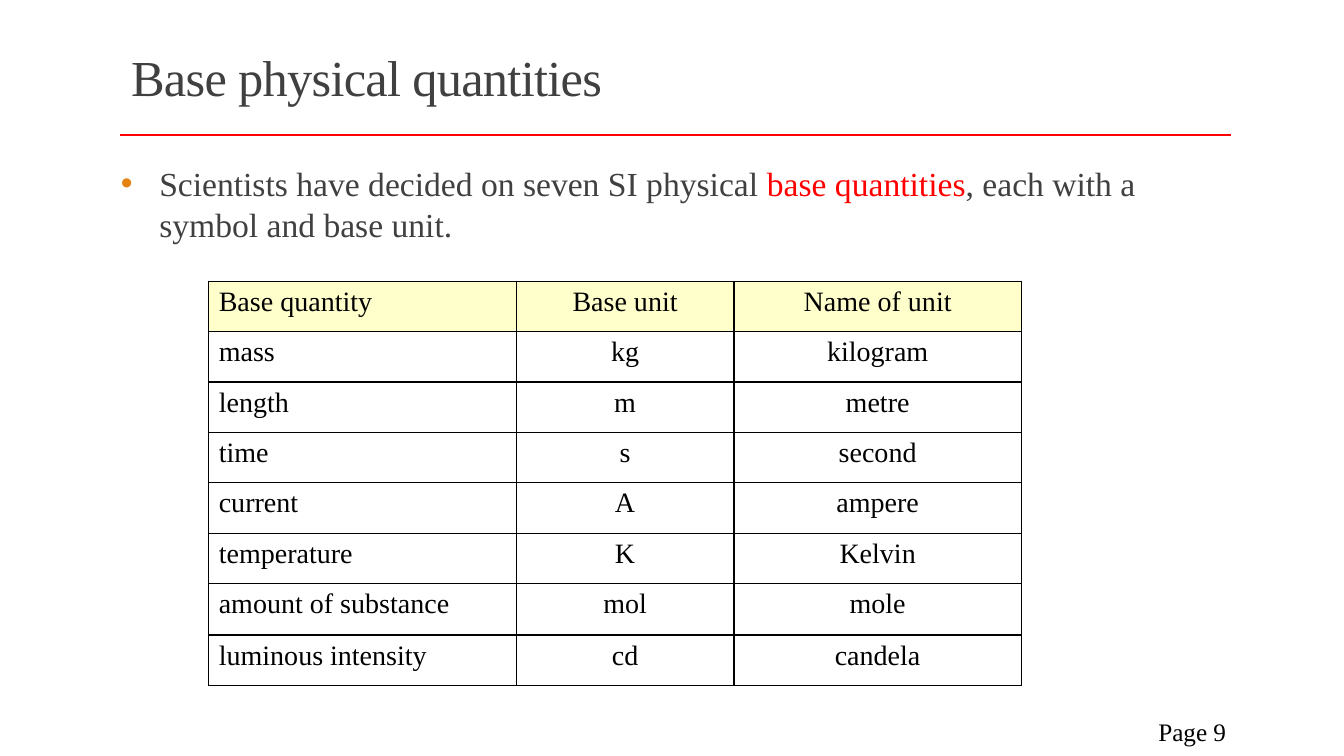
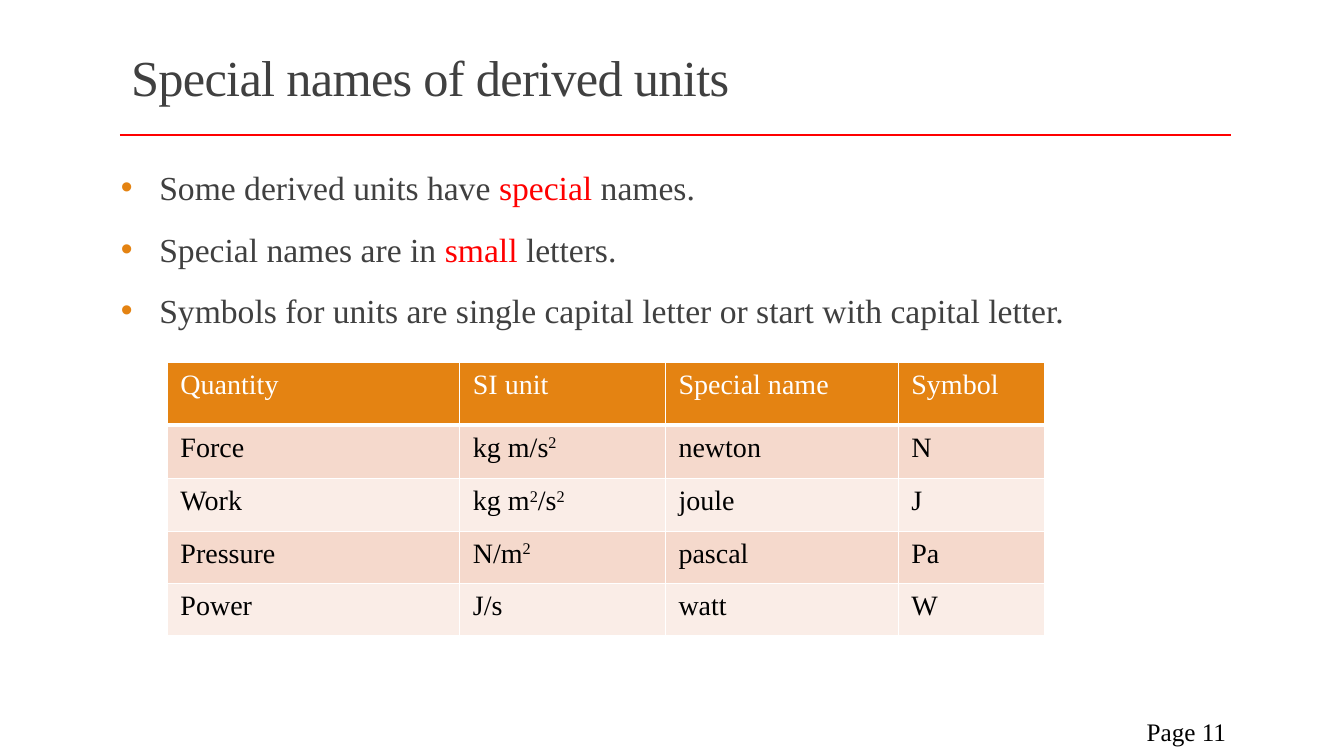
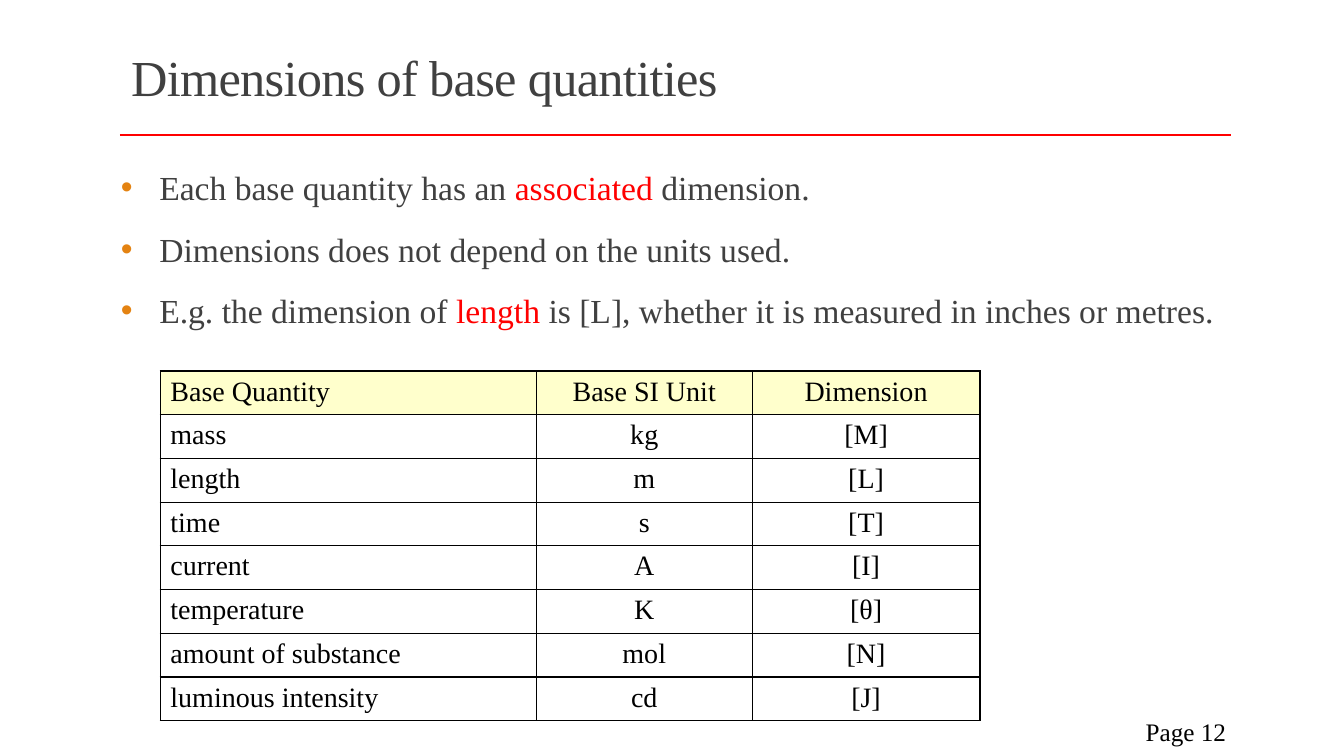
from pptx import Presentation
from pptx.dml.color import RGBColor
from pptx.enum import shapes, text
from pptx.oxml import ns, xmlchemy
from pptx.util import Inches, Pt

FONT = "Times New Roman"
COLORS = {
    "rule": "FF0000", "highlight": "FF0000", "body": "404040",
    "accent": "E48312", "black": "000000", "white": "FFFFFF",
    "cream": "FFFFCC", "band_dark": "F5D9CC", "band_light": "FAEDE7",
}

# Boxes are left, top, width, height in inches
TITLE_BOX = (1.2, 0.31, 11, 0.98)
BODY_BOX = (1.2, 1.57, 11.02, 5.12)
PAGE_BOX = (10.83, 7.06, 1.43, 0.4)
RULE_LEFT, RULE_RIGHT, RULE_TOP = 1.19, 12.21, 1.34

# Table styles: fills of header and alternating rows, header text, borders, margins
GRID_STYLE = {
    "header": "cream", "bands": ["white"], "header_text": "black",
    "border": "black", "header_bottom": 1, "margins": (0.1, 0.05),
    "align_rest": text.PP_ALIGN.CENTER,
}
BANDED_STYLE = {
    "header": "accent", "bands": ["band_dark", "band_light"], "header_text": "white",
    "border": "white", "header_bottom": 3, "margins": (0.13, 0.07),
    "align_rest": text.PP_ALIGN.LEFT,
}


def rgb(name):
    return RGBColor.from_string(COLORS[name])


def inches(values):
    return [Inches(value) for value in values]


def add_run(paragraph, words, size, color):
    run = paragraph.add_run()
    run.text = words
    run.font.name = FONT
    run.font.size = Pt(size)
    run.font.color.rgb = rgb(color)
    return run


def add_marked_runs(paragraph, words, size, color):
    """Words between * are highlighted."""
    for index, part in enumerate(words.split("*")):
        if part:
            add_run(paragraph, part, size, "highlight" if index % 2 else color)


def add_raised_runs(paragraph, words, size, color):
    """Words between ^ are superscript."""
    for index, part in enumerate(words.split("^")):
        if part:
            run = add_run(paragraph, part, size, color)
            if index % 2:
                run._r.get_or_add_rPr().set("baseline", "30000")


def add_title(slide, words, box):
    title = slide.shapes.title
    title.left, title.top, title.width, title.height = inches(box)
    frame = title.text_frame
    frame.auto_size = text.MSO_AUTO_SIZE.NONE
    frame.vertical_anchor = text.MSO_ANCHOR.MIDDLE
    paragraph = frame.paragraphs[0]
    paragraph.alignment = text.PP_ALIGN.LEFT
    paragraph.line_spacing = 0.85
    run = add_run(paragraph, words, 36, "body")
    run._r.get_or_add_rPr().set("spc", "-50")


def add_rule(slide):
    rule = slide.shapes.add_connector(
        shapes.MSO_CONNECTOR.STRAIGHT,
        *inches((RULE_LEFT, RULE_TOP, RULE_RIGHT, RULE_TOP)))
    rule.line.color.rgb = rgb("rule")
    rule.line.width = Pt(2)
    xmlchemy.OxmlElement("a:effectLst")
    rule._element.spPr.append(xmlchemy.OxmlElement("a:effectLst"))


def add_page_number(slide, number, box):
    frame = slide.shapes.add_textbox(*inches(box)).text_frame
    frame.word_wrap = True
    frame.vertical_anchor = text.MSO_ANCHOR.MIDDLE
    paragraph = frame.paragraphs[0]
    paragraph.alignment = text.PP_ALIGN.RIGHT
    add_run(paragraph, f"Page {number}", 18, "black")


def set_bullet(paragraph):
    properties = paragraph._p.get_or_add_pPr()
    properties.set("marL", str(Inches(0.38)))
    properties.set("indent", str(-Inches(0.38)))
    bullet_color = xmlchemy.OxmlElement("a:buClr")
    color = xmlchemy.OxmlElement("a:srgbClr")
    color.set("val", COLORS["accent"])
    bullet_color.append(color)
    bullet_font = xmlchemy.OxmlElement("a:buFont")
    bullet_font.set("typeface", "Arial")
    bullet = xmlchemy.OxmlElement("a:buChar")
    bullet.set("char", "•")
    properties.extend([bullet_color, bullet_font, bullet])


def add_bullets(slide, lines, box, line_spacing):
    frame = slide.shapes.add_textbox(*inches(box)).text_frame
    frame.word_wrap = True
    frame.margin_left = frame.margin_right = 0
    for index, line in enumerate(lines):
        paragraph = frame.add_paragraph() if index else frame.paragraphs[0]
        set_bullet(paragraph)
        paragraph.line_spacing = line_spacing
        paragraph.space_before = Pt(6 if index else 0)
        paragraph.space_after = Pt(6)
        add_marked_runs(paragraph, line, 24, "body")


def set_borders(cell, color_name, widths):
    """Widths are in points: left, right, top, bottom."""
    properties = cell._tc.get_or_add_tcPr()
    for side, width in zip("LRTB", widths):
        line = xmlchemy.OxmlElement(f"a:ln{side}")
        line.set("w", str(Pt(width)))
        fill = xmlchemy.OxmlElement("a:solidFill")
        color = xmlchemy.OxmlElement("a:srgbClr")
        color.set("val", COLORS[color_name])
        fill.append(color)
        line.append(fill)
        properties.append(line)


def add_table(slide, rows, left, top, column_widths, row_heights, style):
    table = slide.shapes.add_table(
        len(rows), len(column_widths),
        *inches((left, top, sum(column_widths), sum(row_heights)))).table
    table.first_row = table.horz_banding = False
    for column, width in zip(table.columns, column_widths):
        column.width = Inches(width)
    for row, height in zip(table.rows, row_heights):
        row.height = Inches(height)

    side_margin, end_margin = inches(style["margins"])
    bands = style["bands"]
    for row_index, row in enumerate(rows):
        is_header = row_index == 0
        fill = style["header"] if is_header else bands[(row_index - 1) % len(bands)]
        top_width = style["header_bottom"] if row_index == 1 else 1
        bottom_width = style["header_bottom"] if is_header else 1
        for column_index, words in enumerate(row):
            cell = table.cell(row_index, column_index)
            set_borders(cell, style["border"], (1, 1, top_width, bottom_width))
            cell.fill.solid()
            cell.fill.fore_color.rgb = rgb(fill)
            cell.margin_left = cell.margin_right = side_margin
            cell.margin_top = cell.margin_bottom = end_margin
            paragraph = cell.text_frame.paragraphs[0]
            paragraph.alignment = style["align_rest"] if column_index else text.PP_ALIGN.LEFT
            add_raised_runs(paragraph, words, 20,
                            style["header_text"] if is_header else "black")


def add_table_slide(presentation, title, page, bullets, table, line_spacing=1.1):
    slide = presentation.slides.add_slide(presentation.slide_layouts[5])
    add_rule(slide)
    add_title(slide, title, TITLE_BOX)
    add_bullets(slide, bullets, BODY_BOX, line_spacing)
    add_page_number(slide, page, PAGE_BOX)
    add_table(slide, **table)


# Quantity, unit, name of unit, dimension
BASE_QUANTITIES = [
    ("mass", "kg", "kilogram", "[M]"),
    ("length", "m", "metre", "[L]"),
    ("time", "s", "second", "[T]"),
    ("current", "A", "ampere", "[I]"),
    ("temperature", "K", "Kelvin", "[θ]"),
    ("amount of substance", "mol", "mole", "[N]"),
    ("luminous intensity", "cd", "candela", "[J]"),
]


def main():
    presentation = Presentation()
    presentation.slide_width = Inches(13.33)
    presentation.slide_height = Inches(7.5)

    # Base quantities and their units
    add_table_slide(
        presentation, "Base physical quantities", 9,
        ["Scientists have decided on seven SI physical *base quantities*, "
         "each with a symbol and base unit."],
        {"rows": [("Base quantity", "Base unit", "Name of unit")]
                 + [(quantity, unit, name) for quantity, unit, name, _ in BASE_QUANTITIES],
         "left": 2.07, "top": 2.79, "column_widths": [3.05, 2.16, 2.85],
         "row_heights": [0.5] * 6 + [0.51, 0.5], "style": GRID_STYLE},
        line_spacing=1.0)

    # Derived units
    add_table_slide(
        presentation, "Special names of derived units", 11,
        ["Some derived units have *special* names.",
         "Special names are in *small* letters.",
         "Symbols for units are single capital letter or start with capital letter."],
        {"rows": [("Quantity", "SI unit", "Special name", "Symbol"),
                  ("Force", "kg m/s^2^", "newton", "N"),
                  ("Work", "kg m^2^/s^2^", "joule", "J"),
                  ("Pressure", "N/m^2^", "pascal", "Pa"),
                  ("Power", "J/s", "watt", "W")],
         "left": 1.66, "top": 3.6, "column_widths": [2.9, 2.04, 2.31, 1.45],
         "row_heights": [0.62, 0.53] + [0.52] * 3, "style": BANDED_STYLE})

    # Dimensions
    add_table_slide(
        presentation, "Dimensions of base quantities", 12,
        ["Each base quantity has an *associated* dimension.",
         "Dimensions does not depend on the units used.",
         "E.g. the dimension of *length* is [L], whether it is measured in inches or metres."],
        {"rows": [("Base Quantity", "Base SI Unit", "Dimension")]
                 + [(quantity, unit, dimension)
                    for quantity, unit, _, dimension in BASE_QUANTITIES],
         "left": 1.59, "top": 3.68, "column_widths": [3.73, 2.14, 2.26],
         "row_heights": [0.4] * 8, "style": GRID_STYLE})

    presentation.save("out.pptx")


if __name__ == "__main__":
    main()
